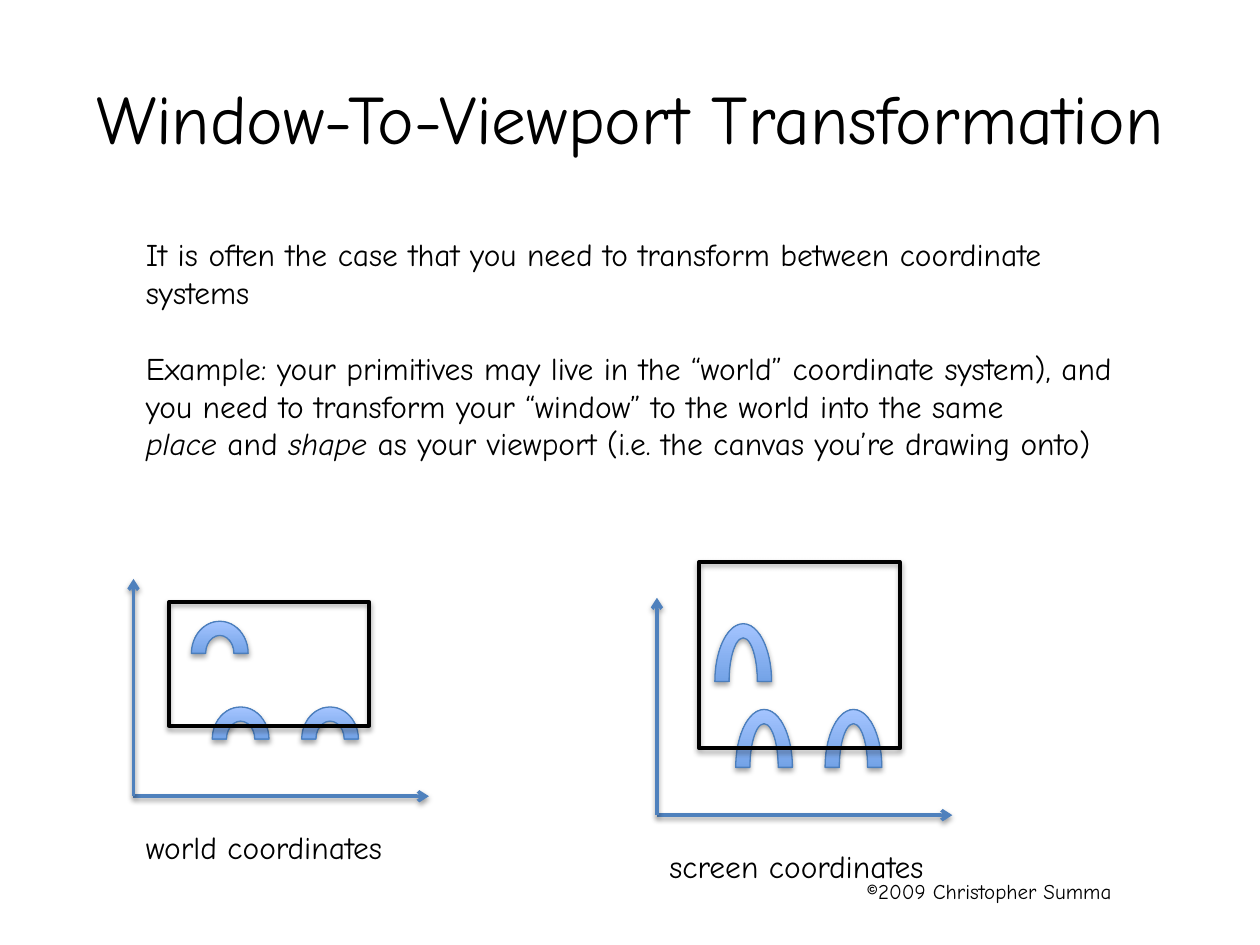
from dataclasses import dataclass

from lxml.etree import SubElement
from pptx import Presentation
from pptx.dml.color import RGBColor
from pptx.enum.shapes import MSO_CONNECTOR, MSO_SHAPE
from pptx.enum.text import MSO_ANCHOR, PP_ALIGN
from pptx.oxml.ns import qn
from pptx.util import Pt

FONT = "Comic Neue"
BLACK = RGBColor(0x00, 0x00, 0x00)
AXIS_BLUE = RGBColor(0x4F, 0x81, 0xBD)
ARC_LINE = RGBColor(0x4B, 0x7E, 0xBC)
ARC_DARK = RGBColor(0x3F, 0x80, 0xCE)
ARC_LIGHT = RGBColor(0xA4, 0xC4, 0xFF)

AXIS_X, AXIS_Y = 168.8, 124.2
ARC_W, WINDOW_W = 32.4, 114.5
ARC_ROW_GAP = 49  # from the upper arc to the lower pair
ARC_COLUMNS = ((33.1, 0), (96.1, 1), (45, 1))  # x offset, row


@dataclass(frozen=True)
class CoordinateSystem:
    """Axes at an origin; the other tops and lefts are offsets from it."""
    label: str
    label_width: float
    x: float
    y: float
    arc_top: float
    arc_height: float
    window_left: float
    window_top: float
    window_height: float


SYSTEMS = (
    CoordinateSystem("world coordinates", 159, 76.3, 455,
                     -100, 36.7, 20.2, -110.9, 70.6),
    CoordinateSystem("screen coordinates", 166.3, 375.4, 465.8,
                     -109.4, 66.2, 24.2, -144.7, 106.6),
)

BODY = (
    "It is often the case that you need to transform between coordinate",
    "systems",
    "Example: your primitives may live in the “world” coordinate system), and",
    "you need to transform your “window” to the world into the same",
    "*place* and *shape* as your viewport (i.e. the canvas you’re drawing onto)",
)
SECOND_BLOCK = 2  # index of the line that opens the example


def add_text(s, lines, left: float, top: float, width: float, height: float,
             size: float = 18, wrap: bool = False):
    """Add a text box; parts between asterisks become italic."""
    tf = s.shapes.add_textbox(Pt(left), Pt(top), Pt(width), Pt(height)).text_frame
    tf.word_wrap = wrap
    for i, line in enumerate(lines):
        p = tf.paragraphs[0] if i == 0 else tf.add_paragraph()
        p.font.name, p.font.size = FONT, Pt(size)
        p.font.color.rgb = BLACK
        for j, part in enumerate(line.split("*")):
            if part:
                r = p.add_run()
                r.text = part
                if j % 2:
                    r.font.italic = True
    return tf


def add_shadow(sp, opacity: int, distance: float) -> None:
    """Add a soft black shadow straight below; call after fill and line."""
    effects = SubElement(sp._element.spPr, qn("a:effectLst"))
    shadow = SubElement(effects, qn("a:outerShdw"), blurRad=str(Pt(3.1)),
                        dist=str(Pt(distance)), dir="5400000", rotWithShape="0")
    color = SubElement(shadow, qn("a:srgbClr"), val="000000")
    SubElement(color, qn("a:alpha"), val=str(opacity * 1000))


def add_axis(s, x: float, y: float, dx: float, dy: float) -> None:
    sp = s.shapes.add_connector(MSO_CONNECTOR.STRAIGHT,
                                Pt(x), Pt(y), Pt(x + dx), Pt(y + dy))
    sp.line.color.rgb = AXIS_BLUE
    sp.line.width = Pt(2)
    SubElement(sp.line._get_or_add_ln(), qn("a:tailEnd"), type="arrow")
    add_shadow(sp, 38, 1.6)


def add_arc(s, left: float, top: float, height: float) -> None:
    sp = s.shapes.add_shape(MSO_SHAPE.BLOCK_ARC,
                            Pt(left), Pt(top), Pt(ARC_W), Pt(height))
    sp.fill.gradient()
    sp.fill.gradient_angle = 90
    for stop, position, color in zip(sp.fill.gradient_stops, (0, 1),
                                     (ARC_DARK, ARC_LIGHT)):
        stop.position = position
        stop.color.rgb = color
    sp.line.color.rgb = ARC_LINE
    sp.line.width = Pt(0.75)
    add_shadow(sp, 35, 1.8)


def add_window(s, left: float, top: float, height: float) -> None:
    sp = s.shapes.add_shape(MSO_SHAPE.RECTANGLE,
                            Pt(left), Pt(top), Pt(WINDOW_W), Pt(height))
    sp.fill.background()
    sp.line.color.rgb = BLACK
    sp.line.width = Pt(2.25)
    add_shadow(sp, 35, 1.8)


def add_system(s, c: CoordinateSystem) -> None:
    add_axis(s, c.x, c.y, AXIS_X, 0)
    add_axis(s, c.x, c.y, 0, -AXIS_Y)
    for dx, row in ARC_COLUMNS:
        add_arc(s, c.x + dx, c.y + c.arc_top + row * ARC_ROW_GAP, c.arc_height)
    add_window(s, c.x + c.window_left, c.y + c.window_top, c.window_height)
    add_text(s, [c.label], c.x, c.y + 14.4, c.label_width, 29)


def main() -> None:
    prs = Presentation()
    prs.slide_width, prs.slide_height = Pt(720), Pt(540)
    s = prs.slides.add_slide(prs.slide_layouts[6])

    add_text(s, ["©2009 Christopher Summa"], 488.2, 498.2, 177.8, 21.8, 12, True)
    title = add_text(s, ["Window-To-Viewport Transformation"],
                     36, 21.6, 648, 90, 39.6, True)
    title.vertical_anchor = MSO_ANCHOR.MIDDLE
    title.paragraphs[0].alignment = PP_ALIGN.CENTER
    body = add_text(s, BODY, 76.3, 131, 607.7, 138.2)
    body.paragraphs[SECOND_BLOCK].space_before = Pt(21.6)
    for system in SYSTEMS:
        add_system(s, system)

    prs.save("out.pptx")


if __name__ == "__main__":
    main()
